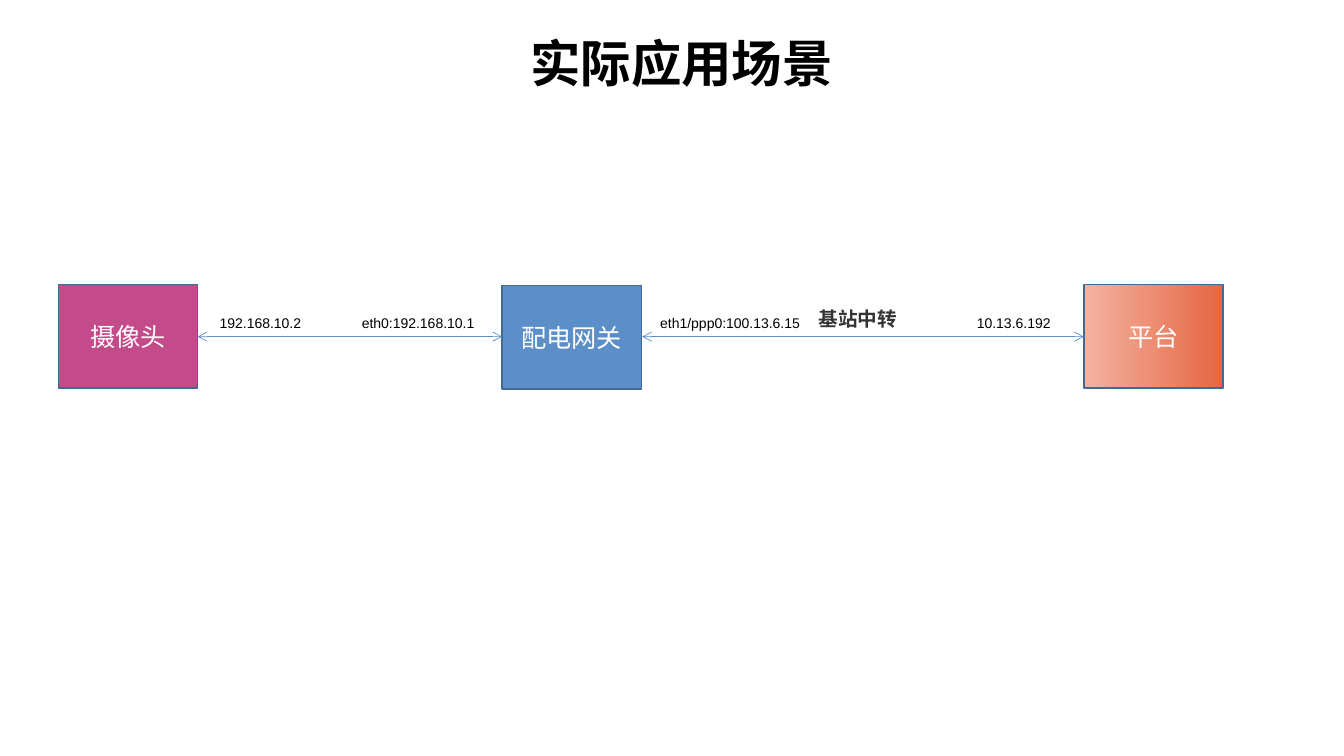
from dataclasses import dataclass

from lxml import etree
from pptx import Presentation
from pptx.dml.color import RGBColor
from pptx.enum.shapes import MSO_CONNECTOR, MSO_SHAPE
from pptx.enum.text import MSO_ANCHOR, MSO_AUTO_SIZE, PP_ALIGN
from pptx.oxml.ns import qn
from pptx.util import Emu, Pt

EMU_PER_PX = 9144
RECTANGLE = MSO_SHAPE.RECTANGLE
STRAIGHT, ELBOW = MSO_CONNECTOR.STRAIGHT, MSO_CONNECTOR.ELBOW
MIDDLE, BOTTOM, TOP = MSO_ANCHOR.MIDDLE, MSO_ANCHOR.BOTTOM, MSO_ANCHOR.TOP
CENTER, LEFT = PP_ALIGN.CENTER, PP_ALIGN.LEFT
GROW, FIXED = MSO_AUTO_SIZE.SHAPE_TO_FIT_TEXT, MSO_AUTO_SIZE.NONE
CJK_FONT = "Noto Sans CJK SC"
COLORS = {
    "black": "000000", "gray": "333333", "white": "FFFFFF",
    "border": "446A93", "blue": "5C8FC7", "magenta": "C44B8A",
    "peach": "F3B3A1", "orange": "E66643",
}
NODE_WIDTH, NODE_HEIGHT = 138, 103
LINK_Y, LABEL_TOP = 334, 307


@dataclass(frozen=True)
class TextStyle:
    size: int
    color: str
    bold: bool = False
    font: str = "Arial"
    align: PP_ALIGN = LEFT


@dataclass(frozen=True)
class Node:
    text: str
    left: int
    top: int
    fills: tuple[str, ...]


@dataclass(frozen=True)
class Link:
    kind: MSO_CONNECTOR
    start: int
    end: int


@dataclass(frozen=True)
class Label:
    text: str
    left: int
    top: int
    width: int
    height: int
    style: TextStyle
    frame: dict


TITLE = TextStyle(36, "black", True, CJK_FONT, CENTER)
NODE = TextStyle(18, "white", align=CENTER)
ADDRESS = TextStyle(10, "black")
RELAY = TextStyle(14, "gray", True)

TITLE_FRAME = {
    "word_wrap": True, "auto_size": FIXED, "vertical_anchor": BOTTOM,
    "margin_left": 0, "margin_right": 0, "margin_top": 0, "margin_bottom": 0,
}
NODE_FRAME = {"word_wrap": True, "vertical_anchor": MIDDLE}
LABEL_FRAME = {"word_wrap": True, "auto_size": GROW, "vertical_anchor": TOP}

NODES = [
    Node("配电网关", 498, 283, ("blue",)),
    Node("摄像头", 58, 282, ("magenta",)),
    Node("平台", 1075, 282, ("peach", "orange")),
]
LINKS = [Link(ELBOW, 196, 498), Link(STRAIGHT, 637, 1075)]
LABELS = [
    Label("实际应用场景", 404, 8, 544, 84, TITLE, TITLE_FRAME),
    Label("192.168.10.2", 208, LABEL_TOP, 102, 27, ADDRESS, LABEL_FRAME),
    Label("eth0:192.168.10.1", 349, LABEL_TOP, 141, 27, ADDRESS, LABEL_FRAME),
    Label("eth1/ppp0:100.13.6.15", 645, LABEL_TOP, 170, 27, ADDRESS, LABEL_FRAME),
    Label("10.13.6.192", 959, LABEL_TOP, 101, 27, ADDRESS, LABEL_FRAME),
    Label("基站中转", 802, 300, 108, 34, RELAY, LABEL_FRAME),
]


def px(*lengths: int) -> list[Emu]:
    return [Emu(length * EMU_PER_PX) for length in lengths]


def rgb(name: str) -> RGBColor:
    return RGBColor.from_string(COLORS[name])


def write_text(shape, text: str, style: TextStyle, frame_format: dict) -> None:
    frame = shape.text_frame
    for name, value in frame_format.items():
        setattr(frame, name, value)
    para = frame.paragraphs[0]
    para.alignment = style.align
    span = para.add_run()
    span.text = text
    font_format = {"size": Pt(style.size), "bold": style.bold, "name": style.font}
    for name, value in font_format.items():
        setattr(span.font, name, value)
    span.font.color.rgb = rgb(style.color)
    east_asian = etree.SubElement(span._r.get_or_add_rPr(), qn("a:ea"))
    east_asian.set("typeface", CJK_FONT)


def draw_node(page, node: Node) -> None:
    box = page.shapes.add_shape(
        RECTANGLE, *px(node.left, node.top, NODE_WIDTH, NODE_HEIGHT))
    box.shadow.inherit = False
    if len(node.fills) == 1:
        box.fill.solid()
        box.fill.fore_color.rgb = rgb(node.fills[0])
    else:
        box.fill.gradient()
        box.fill.gradient_angle = 0
        for stop, color in zip(box.fill.gradient_stops, node.fills):
            stop.color.rgb = rgb(color)
    box.line.color.rgb = rgb("border")
    box.line.width = Pt(1)
    write_text(box, node.text, NODE, NODE_FRAME)


def draw_link(page, link: Link) -> None:
    connector = page.shapes.add_connector(
        link.kind, *px(link.start, LINK_Y, link.end, LINK_Y))
    connector.line.color.rgb = rgb("blue")
    connector.line.width = Pt(0.5)
    outline = connector.line._get_or_add_ln()
    for tag in ("a:headEnd", "a:tailEnd"):
        etree.SubElement(outline, qn(tag)).set("type", "arrow")
    etree.SubElement(connector._element.spPr, qn("a:effectLst"))


def draw_label(page, label: Label) -> None:
    box = page.shapes.add_textbox(
        *px(label.left, label.top, label.width, label.height))
    write_text(box, label.text, label.style, label.frame)


def main() -> None:
    deck = Presentation()
    deck.slide_width, deck.slide_height = px(1333, 750)
    page = deck.slides.add_slide(deck.slide_layouts[6])
    for node in NODES:
        draw_node(page, node)
    for link in LINKS:
        draw_link(page, link)
    for label in LABELS:
        draw_label(page, label)
    deck.save("out.pptx")


if __name__ == "__main__":
    main()
